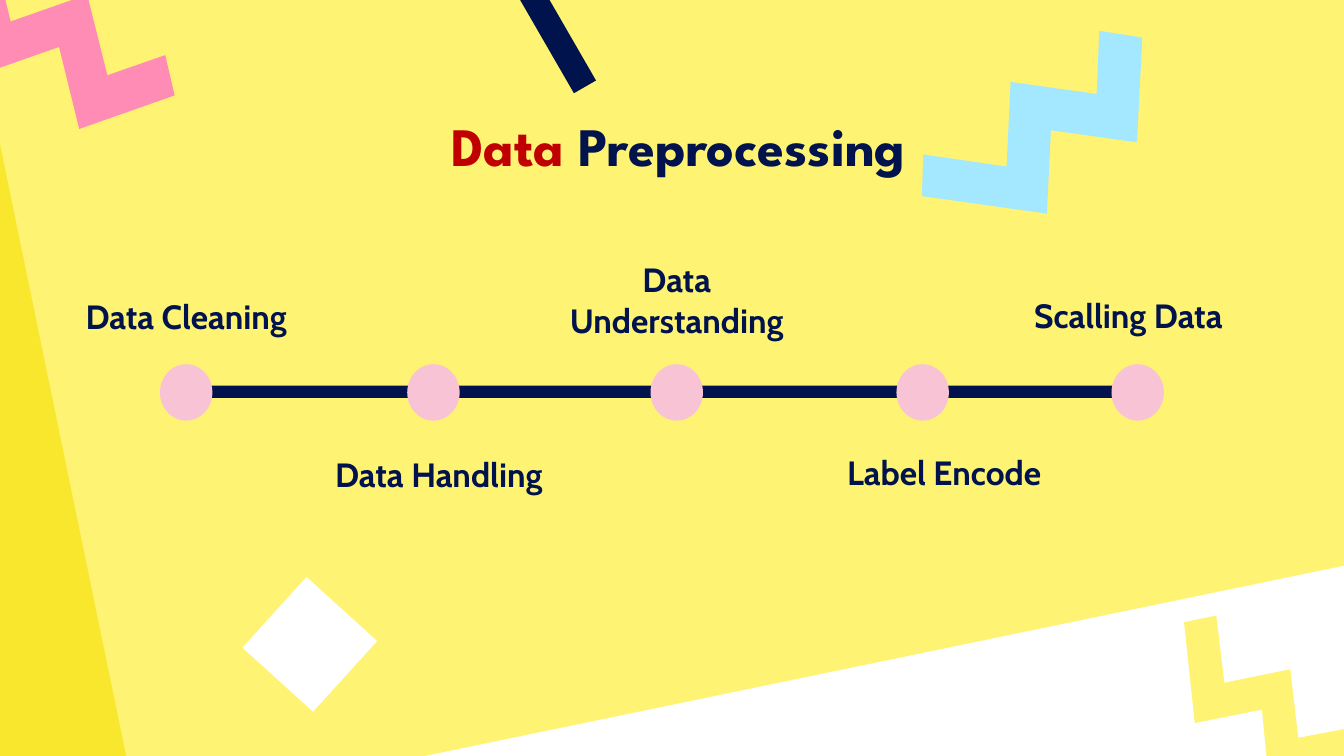
from pptx import Presentation
from pptx import util as u
from pptx.dml import color
from pptx.enum import shapes, text

PX = 9144  # EMU per px, 100 px to the inch
COLORS = {
    "background": "FFF373", "white": "FFFFFF", "gold": "F9E72D", "pink": "FF8CB4",
    "sky": "A3E8FF", "navy": "00134D", "dot": "F9C3D6", "red": "C00000",
}
KIND = shapes.MSO_SHAPE


def rgb(name):
    return color.RGBColor.from_string(COLORS[name])


class Canvas:
    """Holds the style and the current slide."""

    def __init__(self, slide, label_font="Cabin", title_font="League Spartan"):
        self.slide = slide
        self.label_font = label_font
        self.title_font = title_font

    def background(self, fill):
        paint = self.slide.background.fill
        paint.solid()
        paint.fore_color.rgb = rgb(fill)

    def paint(self, shape, fill):
        shape.shadow.inherit = False
        shape.fill.solid()
        shape.fill.fore_color.rgb = rgb(fill)
        shape.line.fill.background()

    def shape(self, kind, box, fill, rotation=0, flip=False):
        shape = self.slide.shapes.add_shape(kind, *(v * PX for v in box))
        self.paint(shape, fill)
        shape.rotation = rotation
        if flip:
            shape._element.spPr.xfrm.set("flipH", "1")

    def zigzag(self, points, fill):
        builder = self.slide.shapes.build_freeform(*points[0], scale=PX)
        builder.add_line_segments(points[1:], close=True)
        self.paint(builder.convert_to_shape(), fill)

    def text(self, box, parts, font, size, align):
        """Write (words, colour) parts as the runs of one paragraph."""
        frame = self.slide.shapes.add_textbox(*(v * PX for v in box)).text_frame
        frame.word_wrap = True
        frame.vertical_anchor = text.MSO_ANCHOR.MIDDLE
        frame.margin_left = frame.margin_right = 10 * PX
        frame.margin_top = frame.margin_bottom = 10 * PX
        paragraph = frame.paragraphs[0]
        paragraph.alignment = align
        for words, ink in parts:
            run = paragraph.add_run()
            run.text = words
            run.font.name = font
            run.font.size = u.Pt(size)
            run.font.bold = True
            run.font.color.rgb = rgb(ink)

    def label(self, box, words):
        self.text(box, [(words, "navy")], self.label_font, 18, text.PP_ALIGN.CENTER)

    def title(self, box, parts):
        self.text(box, parts, self.title_font, 29, text.PP_ALIGN.LEFT)


def main():
    deck = Presentation()
    deck.slide_width = 1000 * PX
    deck.slide_height = deck.slide_width * 9 // 16
    canvas = Canvas(deck.slides.add_slide(deck.slide_layouts[6]))

    # Backdrop
    canvas.background("background")
    canvas.shape(KIND.RIGHT_TRIANGLE, (314, 421, 686, 142), "white", flip=True)
    canvas.zigzag([(-34, -32), (-6, -42), (8, 16), (65, -4), (80, 56), (123, 41),
                   (130, 71), (59, 96), (44, 35), (-13, 55)], "pink")
    canvas.zigzag([(686, 146), (687, 115), (749, 124), (752, 61), (816, 70), (818, 23),
                   (850, 28), (846, 106), (782, 97), (779, 159)], "sky")
    canvas.zigzag([(881, 463), (905, 458), (911, 508), (960, 498), (966, 549), (1003, 542),
                   (1006, 568), (944, 580), (939, 528), (889, 538)], "background")
    canvas.shape(KIND.RIGHT_TRIANGLE, (-181, 288, 456, 94), "gold", rotation=90, flip=True)
    canvas.shape(KIND.RECTANGLE, (195, 444, 71, 71), "white", rotation=42.2)
    canvas.shape(KIND.RECTANGLE, (402, -24, 19, 95), "navy", rotation=150)

    # Title
    canvas.title((326, 65, 393, 85), [("Data", "red"), (" Preprocessing", "navy")])

    # Timeline: dot left edge, label box, label
    steps = [
        (119, (39, 215, 199, 40), "Data Cleaning"),
        (303, (227, 333, 199, 40), "Data Handling"),
        (484, (404, 203, 199, 40), "Data Understanding"),
        (667, (603, 331, 199, 40), "Label Encode"),
        (827, (729, 217, 221, 35), "Scalling Data"),
    ]
    canvas.shape(KIND.RECTANGLE, (130, 287, 709, 9), "navy")
    for dot_left, label_box, words in steps:
        canvas.shape(KIND.OVAL, (dot_left, 271, 39, 42), "dot")
        canvas.label(label_box, words)

    deck.save("out.pptx")


if __name__ == "__main__":
    main()
